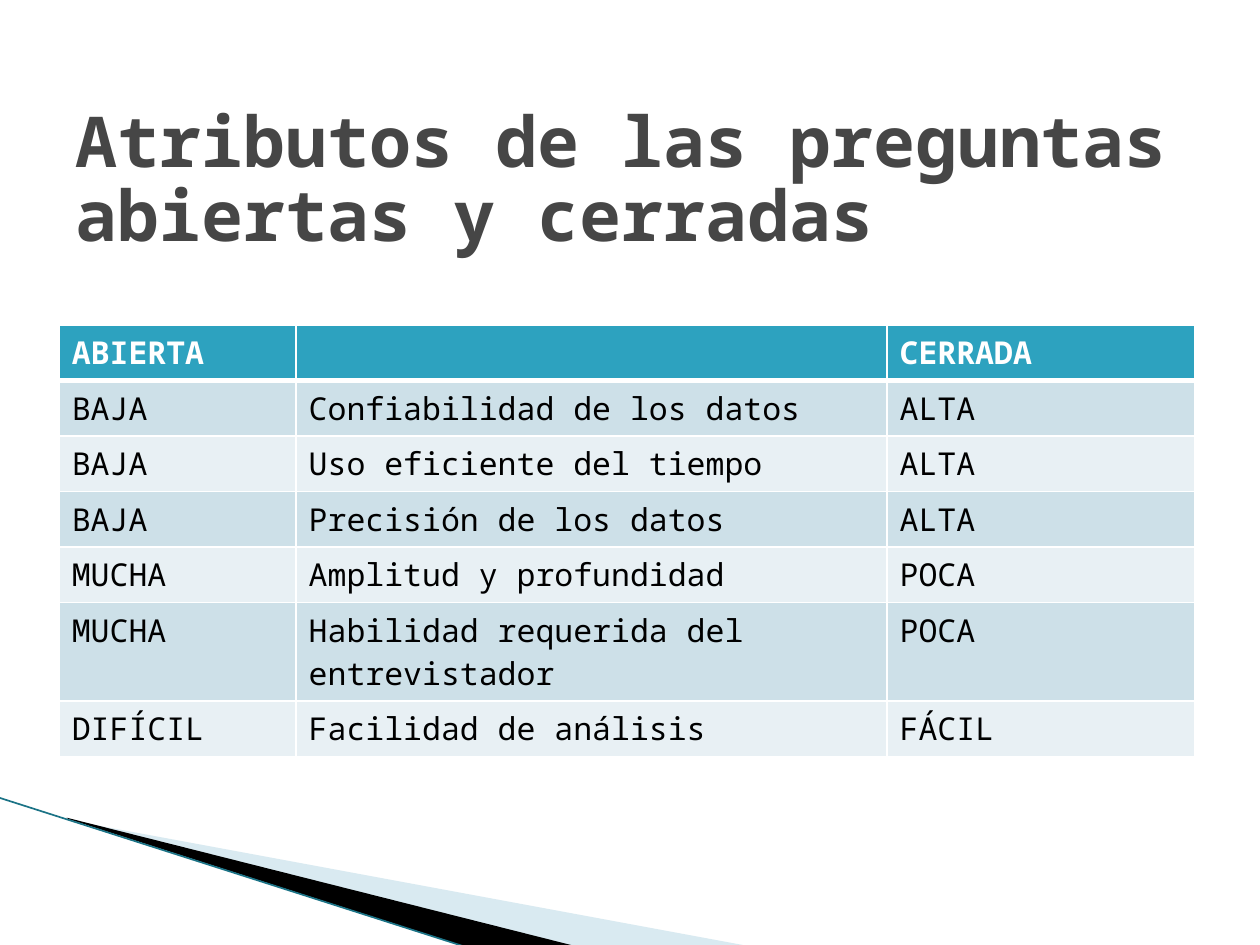
from lxml.etree import SubElement
from pptx import Presentation
from pptx.dml.color import RGBColor
from pptx.enum.text import MSO_ANCHOR
from pptx.oxml import parse_xml
from pptx.oxml.ns import nsdecls, qn
from pptx.util import Emu, Inches, Pt

# The slide is a grid of 100 columns by 75 rows
UNIT = Inches(0.1)
COLUMNS, ROWS = 100, 75
FONT = "Noto Sans Mono"
COLORS = {
    "title": "464646",
    "header": "2DA2BF",
    "band_dark": "CDE0E8",
    "band_light": "E8F0F4",
    "white": "FFFFFF",
    "black": "000000",
    "pale_wedge": "A0CBDC",
    "edge": "1B7386",
}
ATTRIBUTES = [
    ("ABIERTA", "", "CERRADA"),
    ("BAJA", "Confiabilidad de los datos", "ALTA"),
    ("BAJA", "Uso eficiente del tiempo", "ALTA"),
    ("BAJA", "Precisión de los datos", "ALTA"),
    ("MUCHA", "Amplitud y profundidad", "POCA"),
    ("MUCHA", "Habilidad requerida del entrevistador", "POCA"),
    ("DIFÍCIL", "Facilidad de análisis", "FÁCIL"),
]


def grid(count):
    return Emu(round(count * UNIT))


def rgb(name):
    return RGBColor.from_string(COLORS[name])


def write(frame, text, size=18, color="black", bold=False, spacing=None):
    paragraph = frame.paragraphs[0]
    paragraph.line_spacing = spacing
    paragraph.font.size = Pt(size)
    if text:
        run = paragraph.add_run()
        run.text = text
        run.font.name = FONT
        run.font.size = Pt(size)
        run.font.bold = bold
        run.font.color.rgb = rgb(color)


def add_wedge(slide, left, top, points, color, alpha=None):
    corners = [(grid(left + x), grid(top + y)) for x, y in points]
    builder = slide.shapes.build_freeform(*corners[0], scale=1.0)
    builder.add_line_segments(corners[1:], close=True)
    wedge = builder.convert_to_shape()
    wedge.shadow.inherit = False
    wedge.fill.solid()
    wedge.fill.fore_color.rgb = rgb(color)
    wedge.line.fill.background()
    if alpha:
        fill_color = wedge.fill._xPr.find(qn("a:solidFill"))[0]
        SubElement(fill_color, qn("a:alpha"), val=str(alpha * 1000))


def add_corner(slide, left, top):
    # Pale and black wedges
    add_wedge(slide, left, top,
              [(5.5, 1.8), (59.5, 11.8), (45.6, 11.8), (5.5, 1.7)],
              "pale_wedge", alpha=40)
    add_wedge(slide, left, top,
              [(5.3, 1.6), (45.7, 11.8), (37.2, 11.9), (5.4, 1.7)], "black")
    # Thin edge along the wedges
    edge = slide.shapes.add_connector(
        1, grid(left - 0.1), grid(top), grid(left + 37.1), grid(top + 11.9))
    edge.line.color.rgb = rgb("edge")
    edge.line.width = Pt(0.95)
    SubElement(edge._element.spPr, qn("a:effectLst"))


def add_title(slide, left, top, width, height):
    title = slide.shapes.add_textbox(*map(grid, (left, top, width, height)))
    title.text_frame.word_wrap = True
    title.text_frame.vertical_anchor = MSO_ANCHOR.MIDDLE
    write(title.text_frame, "Atributos de las preguntas abiertas y cerradas",
          size=40, color="title", bold=True, spacing=0.88)


def set_borders(cell, top=1, bottom=1):
    properties = cell._tc.get_or_add_tcPr()
    sides = {"lnL": 1, "lnR": 1, "lnT": top, "lnB": bottom}
    for position, (side, points) in enumerate(sides.items()):
        properties.insert(position, parse_xml(
            f'<a:{side} {nsdecls("a")} w="{Pt(points)}"><a:solidFill>'
            f'<a:srgbClr val="{COLORS["white"]}"/></a:solidFill></a:{side}>'))


def add_comparison(slide, left, top, column_widths, row_height):
    height = row_height * len(ATTRIBUTES)
    table = slide.shapes.add_table(
        len(ATTRIBUTES), len(column_widths),
        *map(grid, (left, top, sum(column_widths), height))).table
    for column, width in zip(table.columns, column_widths):
        column.width = grid(width)
    for r, labels in enumerate(ATTRIBUTES):
        table.rows[r].height = grid(row_height)
        header = r == 0
        band = "header" if header else ("band_light", "band_dark")[r % 2]
        for c, label in enumerate(labels):
            cell = table.cell(r, c)
            cell.fill.solid()
            cell.fill.fore_color.rgb = rgb(band)
            set_borders(cell, top=3 if r == 1 else 1, bottom=3 if header else 1)
            write(cell.text_frame, label, bold=header,
                  color="white" if header else "black")


def main():
    presentation = Presentation()
    presentation.slide_width = grid(COLUMNS)
    presentation.slide_height = grid(ROWS)
    slide = presentation.slides.add_slide(presentation.slide_layouts[6])
    add_corner(slide, 0, 63.3)
    add_comparison(slide, 4.7, 25.8, (18.8, 46.9, 24.4), 4.1)
    add_title(slide, 5, 8.6, 90, 11.7)
    presentation.save("out.pptx")


if __name__ == "__main__":
    main()
